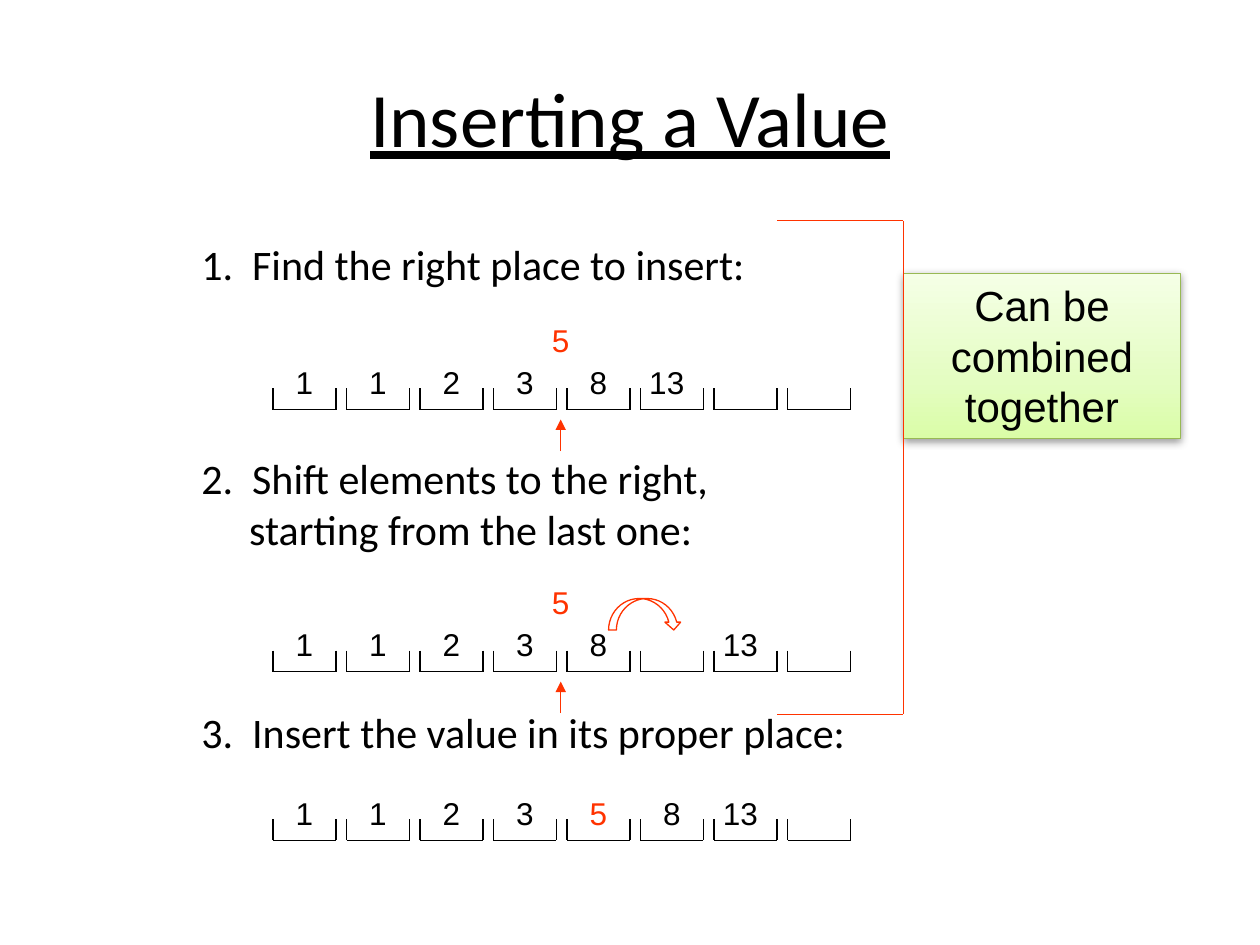
from copy import deepcopy
from typing import NamedTuple

from lxml import etree
from pptx import Presentation
from pptx.dml.color import RGBColor
from pptx.enum.shapes import MSO_CONNECTOR, MSO_SHAPE
from pptx.enum.text import MSO_ANCHOR, PP_ALIGN
from pptx.oxml.ns import qn
from pptx.util import Inches, Pt

LINE = MSO_CONNECTOR.STRAIGHT
RECT, CURVE = MSO_SHAPE.RECTANGLE, MSO_SHAPE.CURVED_DOWN_ARROW
TOP, MIDDLE = MSO_ANCHOR.TOP, MSO_ANCHOR.MIDDLE
LEFT, CENTER = PP_ALIGN.LEFT, PP_ALIGN.CENTER
BLACK, RED = "000000", "FF3300"

# Grid of the array slots
SLOTS, FIRST, PITCH, SIDE = 8, 13 / 6, 7 / 12, 0.5
MARK = 4.45


class Row(NamedTuple):
    base: float
    values: list[str]
    mark: bool = False
    red: int = -1


class Step(NamedTuple):
    text: str
    margin: float
    indent: float
    before: float


ROWS = [
    Row(3.25, ["1", "1", "2", "3", "8", "13"], mark=True),
    Row(5.33, ["1", "1", "2", "3", "8", "", "13"], mark=True),
    Row(6.67, ["1", "1", "2", "3", "5", "8", "13"], red=4),
]
STEPS = [
    Step("1.  Find the right place to insert:", 0.81, -0.31, 0),
    Step("2.  Shift elements to the right,", 0.81, -0.31, 94),
    Step("starting from the last one:", 0.88, 0, 0),
    Step("3.  Insert the value in its proper place:", 0.81, -0.31, 87),
]


def paint(color: str) -> RGBColor:
    return RGBColor.from_string(color)


def write(shape, *lines: str, size: float = 18, font: str = "Arial",
          color: str = BLACK, align=CENTER, anchor=TOP,
          under: bool = False) -> None:
    frame = shape.text_frame
    frame.word_wrap = True
    frame.vertical_anchor = anchor
    frame.text = "\n".join(lines)
    for para in frame.paragraphs:
        para.alignment = align
        face = para.font
        face.name, face.size, face.underline = font, Pt(size), under
        face.color.rgb = paint(color)


def add_box(shapes, x: float, y: float, w: float, h: float):
    return shapes.add_textbox(Inches(x), Inches(y), Inches(w), Inches(h))


def add_line(shapes, x1: float, y1: float, x2: float, y2: float,
             color: str = BLACK, arrow: bool = False) -> None:
    line = shapes.add_connector(LINE, Inches(x1), Inches(y1),
                                Inches(x2), Inches(y2))
    line.line.color.rgb = paint(color)
    line.line.width = Pt(0.75)
    if arrow:
        etree.SubElement(line.line._get_or_add_ln(), qn("a:tailEnd"),
                         type="triangle")
    etree.SubElement(line._element.spPr, qn("a:effectLst"))


def add_slot(shapes, x: float, base: float) -> None:
    group = shapes.add_group_shape().shapes
    rim, end = base - 1 / 6, x + SIDE
    add_line(group, x, rim, x, base)
    add_line(group, x, base, end, base)
    add_line(group, end, rim, end, base)


def add_row(shapes, row: Row) -> None:
    for i in range(SLOTS):
        add_slot(shapes, FIRST + i * PITCH, row.base)
    for i, value in enumerate(row.values):
        if not value:
            continue
        # Two digits need a wider box, set a little to the left
        wide = len(value) > 1
        x = FIRST + i * PITCH - (1 / 6 if wide else 0)
        box = add_box(shapes, x, row.base - 0.42, 0.75 if wide else SIDE, SIDE)
        write(box, value, color=RED if i == row.red else BLACK)
    if row.mark:
        box = add_box(shapes, MARK - SIDE / 2, row.base - 0.75, SIDE, SIDE)
        write(box, "5", color=RED)
        add_line(shapes, MARK, row.base + 0.33, MARK, row.base + 0.08,
                 RED, arrow=True)


def add_shape(shapes, kind, x: float, y: float, w: float, h: float,
              color: str):
    shape = shapes.add_shape(kind, Inches(x), Inches(y), Inches(w), Inches(h))
    shape.shadow.inherit = False
    shape.fill.background()
    shape.line.color.rgb = paint(color)
    shape.line.width = Pt(0.75)
    return shape


def add_note(shapes) -> None:
    note = add_shape(shapes, RECT, 7.17, 2.17, 2.2, 1.31, "98B954")
    write(note, "Can be combined together", size=24)
    # Green gradient of three stops, dark at the bottom
    note.fill.gradient()
    note.fill.gradient_angle = 90
    props = note._element.spPr
    stops = props.find(qn("a:gradFill")).find(qn("a:gsLst"))
    stops.insert(1, deepcopy(stops[0]))
    shades = [(0, "DAFDA7"), (0.35, "E4FDC2"), (1, "F5FFE6")]
    for stop, (place, color) in zip(note.fill.gradient_stops, shades):
        stop.position = place
        stop.color.rgb = paint(color)
    # Soft shadow below
    shade = etree.SubElement(props.find(qn("a:effectLst")), qn("a:outerShdw"),
                             blurRad=str(Pt(5)), dist=str(Pt(1.6)),
                             dir="5400000", rotWithShape="0")
    black = etree.SubElement(shade, qn("a:srgbClr"), val=BLACK)
    etree.SubElement(black, qn("a:alpha"), val="38000")


def add_steps(shapes) -> None:
    box = add_box(shapes, 1, 1.84, 8.5, 5.08)
    write(box, *(step.text for step in STEPS), size=24, font="Calibri",
          align=LEFT)
    for para, step in zip(box.text_frame.paragraphs, STEPS):
        para.space_before = Pt(step.before)
        props = para._p.get_or_add_pPr()
        props.set("marL", str(Inches(step.margin)))
        props.set("indent", str(Inches(step.indent)))


def main() -> None:
    deck = Presentation()
    deck.slide_width, deck.slide_height = Inches(10), Inches(7.5)
    shapes = deck.slides.add_slide(deck.slide_layouts[6]).shapes

    # Title and steps
    write(add_box(shapes, 0.5, 0.3, 9, 1.25), "Inserting a Value", size=44,
          font="Calibri", anchor=MIDDLE, under=True)
    add_steps(shapes)

    # Arrays and the shift arrow
    for row in ROWS:
        add_row(shapes, row)
    add_shape(shapes, CURVE, 4.83, 4.75, 0.58, 0.25, RED)

    # Note and bracket
    add_note(shapes)
    left, right, top, foot = 6.17, 7.17, 1.75, 5.67
    add_line(shapes, left, top, right, top, RED)
    add_line(shapes, left, foot, right, foot, RED)
    add_line(shapes, right, top, right, foot, RED)

    deck.save("out.pptx")


if __name__ == "__main__":
    main()
